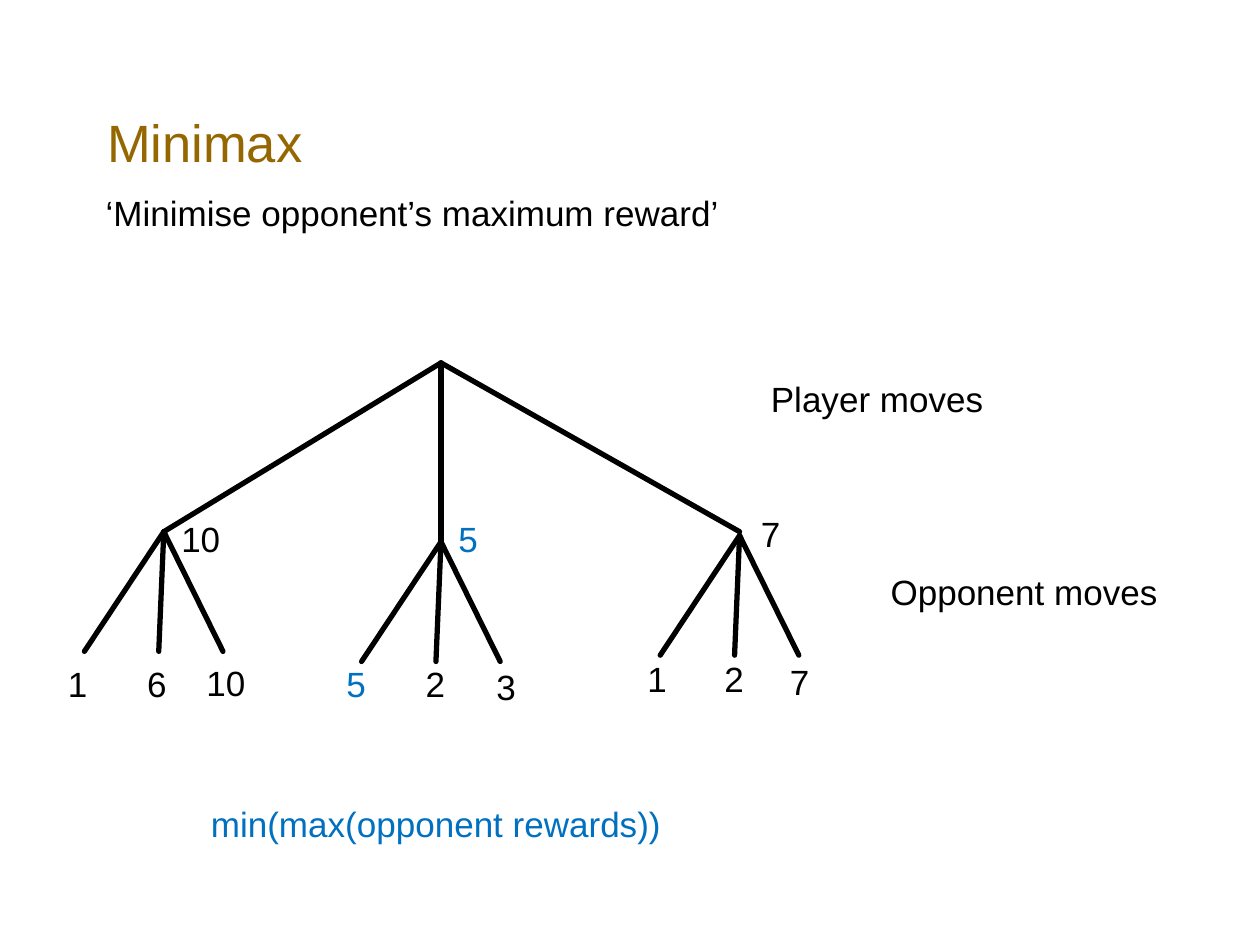
"""Build a slide that explains minimax with a two-level game tree."""
import pptx
import pptx.util
import pptx.dml.color
import pptx.enum.shapes
import pptx.enum.text
import pptx.oxml
import pptx.oxml.ns

Inches, Pt = pptx.util.Inches, pptx.util.Pt
RGB = pptx.dml.color.RGBColor.from_string
ALIGN = pptx.enum.text.PP_ALIGN

THEME = {
    "font": "Arial", "title_size": 30, "body_size": 20, "line_width": 3,
    "title": "956700", "text": "000000", "best": "0070C0",
}

TITLE = "Minimax"
CAPTIONS = [
    ("‘Minimise opponent’s maximum reward’", 0.74, 1.47, 6.61, "text", ALIGN.LEFT),
    ("Player moves", 6.02, 2.95, 1.9, "text", ALIGN.LEFT),
    ("Opponent moves", 6.97, 4.48, 2.76, "text", ALIGN.LEFT),
    ("min(max(opponent rewards))", 0.5, 6.32, 5.92, "best", ALIGN.CENTER),
]

ROOT = (3.5, 2.88)
LEAF_OFFSETS = (-0.63, -0.04, 0.47)
LEAF_DROP = 0.95
LABEL_WIDTH, LABEL_HEIGHT = 0.58, 0.44
BRANCHES = [
    {"node": (1.3, 4.22), "edge_end": 4.22, "value": ("10", 1.34, 4.06, "text"),
     "leaves": [("1", 0.44, 5.21, "text"), ("6", 1.07, 5.21, "text"), ("10", 1.54, 5.2, "text")]},
    {"node": (3.5, 4.3), "edge_end": 4.3, "value": ("5", 3.54, 4.06, "best"),
     "leaves": [("5", 2.65, 5.21, "best"), ("2", 3.28, 5.21, "text"), ("3", 3.84, 5.23, "text")]},
    {"node": (5.87, 4.25), "edge_end": 4.22, "value": ("7", 5.94, 4.02, "text"),
     "leaves": [("1", 5.04, 5.17, "text"), ("2", 5.65, 5.17, "text"), ("7", 6.17, 5.19, "text")]},
]


def style(p, size, color, align=ALIGN.LEFT):
    p.alignment = align
    p.font.name = THEME["font"]
    p.font.size = Pt(THEME[size])
    p.font.color.rgb = RGB(THEME[color])


def add_title(slide):
    sp = slide.shapes.title
    sp.left, sp.top, sp.width, sp.height = map(Inches, (0.75, 0.42, 8.5, 1))
    tf = sp.text_frame
    tf.text = TITLE
    tf.vertical_anchor = pptx.enum.text.MSO_ANCHOR.BOTTOM
    style(tf.paragraphs[0], "title_size", "title")


def add_text(slide, text, left, top, width, color, align=ALIGN.LEFT):
    sp = slide.shapes.add_textbox(*map(Inches, (left, top, width, LABEL_HEIGHT)))
    tf = sp.text_frame
    tf.word_wrap = True
    tf.auto_size = pptx.enum.text.MSO_AUTO_SIZE.SHAPE_TO_FIT_TEXT
    tf.text = text
    style(tf.paragraphs[0], "body_size", color, align)


def add_edge(slide, start, end):
    line = slide.shapes.add_connector(
        pptx.enum.shapes.MSO_CONNECTOR.STRAIGHT, *map(Inches, (*start, *end)))
    line.line.color.rgb = RGB(THEME["text"])
    line.line.width = Pt(THEME["line_width"])
    sp_pr = line._element.spPr
    sp_pr.find(pptx.oxml.ns.qn("a:ln")).set("cap", "rnd")
    sp_pr.append(pptx.oxml.parse_xml(f"<a:effectLst {pptx.oxml.ns.nsdecls('a')}/>"))


def add_label(slide, text, left, top, color):
    add_text(slide, text, left, top, LABEL_WIDTH, color)


def add_branch(slide, branch):
    x, y = branch["node"]
    add_edge(slide, ROOT, (x, branch["edge_end"]))
    for dx in LEAF_OFFSETS:
        add_edge(slide, (x, y), (x + dx, y + LEAF_DROP))
    for label in [*branch["leaves"], branch["value"]]:
        add_label(slide, *label)


def main():
    prs = pptx.Presentation()
    prs.slide_width, prs.slide_height = Inches(10), Inches(7.5)
    slide = prs.slides.add_slide(prs.slide_layouts[5])
    add_title(slide)
    for branch in BRANCHES:
        add_branch(slide, branch)
    for caption in CAPTIONS:
        add_text(slide, *caption)
    prs.save("out.pptx")


if __name__ == "__main__":
    main()
